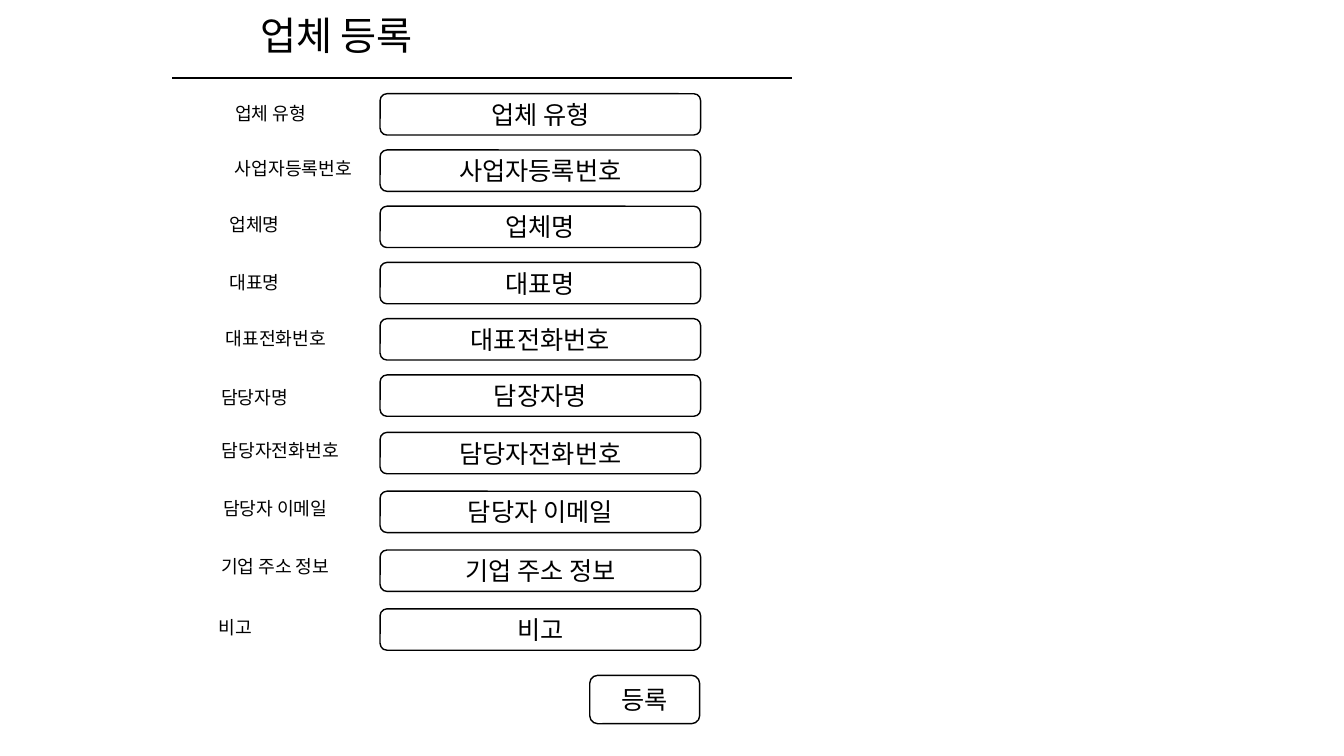
from typing import NamedTuple

from lxml.etree import SubElement
from pptx import Presentation
from pptx.dml.color import RGBColor
from pptx.enum.shapes import MSO_CONNECTOR as Conn, MSO_SHAPE as Shp
from pptx.enum.text import MSO_ANCHOR as Anchor, MSO_AUTO_SIZE as Auto, PP_ALIGN as Align
from pptx.oxml.ns import qn
from pptx.util import Emu, Inches, Pt

FONT = "Noto Sans CJK KR"
BLACK, WHITE = "000000", "FFFFFF"
WIDTH, HEIGHT = Inches(13.33), Inches(7.5)
FIELD_LEFT, FIELD_WIDTH, FIELD_HEIGHT = 28.28, 23.85, 5.47
LABEL_HEIGHT = 4.93
UPPER_ROWS, UPPER_TOP, UPPER_PITCH = 6, 12.4, 7.44
LOWER_TOP, LOWER_PITCH = 57.2, 7.78


class Box(NamedTuple):
    left: float
    top: float
    width: float
    height: float


class Row(NamedTuple):
    label: str
    field: str
    left: float
    top: float
    width: float = 9.98


ROWS = [
    Row("업체 유형", "업체 유형", 15.15, 12.53),
    Row("사업자등록번호", "사업자등록번호", 16.28, 19.73, 11.1),
    Row("업체명", "업체명", 13.95, 27.2),
    Row("대표명", "대표명", 13.95, 34.93),
    Row("대표전화번호", "대표전화번호", 15.53, 42.27),
    Row("담당자명", "담장자명", 13.95, 50.13),
    Row("담당자전화번호", "담당자전화번호", 15.15, 57.07, 11.4),
    Row("담당자 이메일", "담당자 이메일", 15.15, 64.8, 10.65),
    Row("기업 주소 정보", "기업 주소 정보", 15.15, 72.4, 10.65),
    Row("비고", "비고", 12.53, 80.53),
]


def rgb(value: str) -> RGBColor:
    return RGBColor.from_string(value)


def across(share: float) -> Emu:
    return Emu(round(WIDTH * share / 100))


def down(share: float) -> Emu:
    return Emu(round(HEIGHT * share / 100))


def field_top(index: int) -> float:
    if index < UPPER_ROWS:
        return UPPER_TOP + index * UPPER_PITCH
    return LOWER_TOP + (index - UPPER_ROWS) * LOWER_PITCH


def set_text(sp, text: str, size: int, align: Align, anchor: Anchor) -> None:
    tf = sp.text_frame
    tf.text = text
    tf.word_wrap = True
    tf.vertical_anchor = anchor
    p = tf.paragraphs[0]
    p.alignment = align
    r = p.runs[0]
    r.font.size = Pt(size)
    r.font.name = FONT
    r.font.color.rgb = rgb(BLACK)
    SubElement(r.font._element, qn("a:ea"), typeface=FONT)


def add_box(s, kind: Shp, box: Box, text: str, size: int, line: str) -> None:
    sp = s.shapes.add_shape(kind, across(box.left), down(box.top),
                            across(box.width), down(box.height))
    sp.shadow.inherit = False
    sp.fill.solid()
    sp.fill.fore_color.rgb = rgb(WHITE)
    sp.line.color.rgb = rgb(line)
    sp.line.width = Pt(1)
    set_text(sp, text, size, Align.CENTER, Anchor.MIDDLE)


def add_title(s, box: Box, text: str) -> None:
    sp = s.shapes.title
    sp.left, sp.top = across(box.left), down(box.top)
    sp.width, sp.height = across(box.width), down(box.height)
    set_text(sp, text, 28, Align.LEFT, Anchor.TOP)
    sp.text_frame.auto_size = Auto.SHAPE_TO_FIT_TEXT


def add_rule(s, left: float, right: float, top: float) -> None:
    rule = s.shapes.add_connector(Conn.STRAIGHT, across(left), down(top),
                                  across(right), down(top))
    rule.line.color.rgb = rgb(BLACK)
    rule.line.width = Pt(1.5)
    SubElement(rule._element.spPr, qn("a:effectLst"))


def main() -> None:
    prs = Presentation()
    prs.slide_width, prs.slide_height = WIDTH, HEIGHT
    s = prs.slides.add_slide(prs.slide_layouts[5])
    add_title(s, Box(18.6, 0.8, 17.48, 7.6), "업체 등록")
    add_rule(s, 12.83, 58.95, 10.27)
    for i, row in enumerate(ROWS):
        field = Box(FIELD_LEFT, field_top(i), FIELD_WIDTH, FIELD_HEIGHT)
        label = Box(row.left, row.top, row.width, LABEL_HEIGHT)
        add_box(s, Shp.ROUNDED_RECTANGLE, field, row.field, 18, BLACK)
        add_box(s, Shp.RECTANGLE, label, row.label, 13, WHITE)
    add_box(s, Shp.ROUNDED_RECTANGLE, Box(43.88, 89.33, 8.18, 6.4), "등록", 18, BLACK)
    prs.save("out.pptx")


if __name__ == "__main__":
    main()
